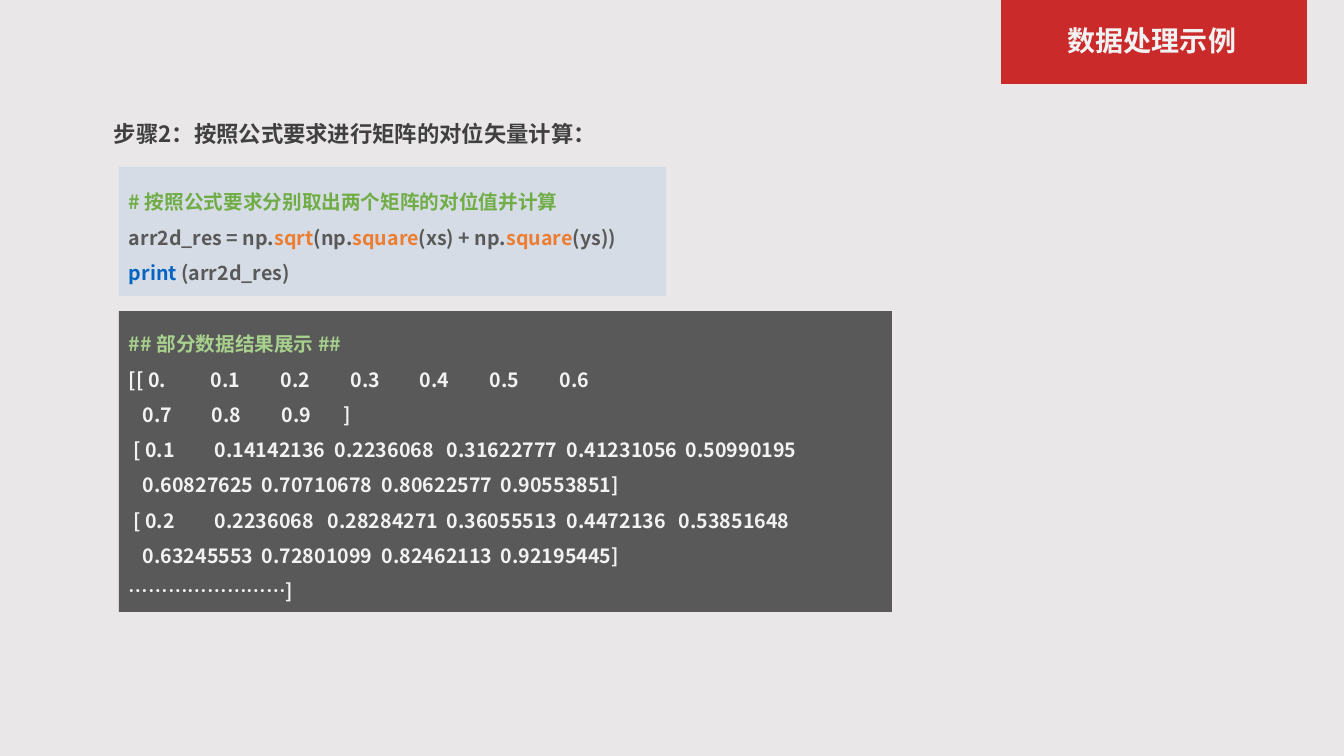
from lxml import etree
from pptx import Presentation
from pptx.dml.color import RGBColor
from pptx.enum.shapes import MSO_SHAPE
from pptx.enum.text import MSO_ANCHOR, MSO_AUTO_SIZE, PP_ALIGN
from pptx.oxml.ns import qn
from pptx.util import Emu, Pt

RECTANGLE = MSO_SHAPE.RECTANGLE
MIDDLE, TOP = MSO_ANCHOR.MIDDLE, MSO_ANCHOR.TOP
LEFT, CENTER = PP_ALIGN.LEFT, PP_ALIGN.CENTER
NO_AUTOFIT = MSO_AUTO_SIZE.NONE
PIXEL = 914400 / 100.8
FONT = "Noto Sans CJK SC"
COLORS = {
    "background": "E9E7E7", "banner": "CA2A2A", "light": "F2F2F2",
    "heading": "404040", "code_fill": "D6DCE5", "result_fill": "595959",
    "comment": "70AD47", "code": "595959", "function": "ED7D31",
    "keyword": "0563C1", "result_comment": "A9D18E",
}

TITLE = "数据处理示例"
HEADING = "步骤2：按照公式要求进行矩阵的对位矢量计算："
CODE_LINES = [
    [("# 按照公式要求分别取出两个矩阵的对位值并计算", "comment")],
    [("arr2d_res = np.", "code"), ("sqrt", "function"), ("(np.", "code"),
     ("square", "function"), ("(xs) + np.", "code"), ("square", "function"),
     ("(ys))", "code")],
    [("print ", "keyword"), ("(arr2d_res)", "code")],
]
RESULT_COMMENT = "## 部分数据结果展示 ##"
RESULT_ROWS = [
    (["[[ 0.", "0.1", "0.2", "0.3", "0.4", "0.5", "0.6"],
     [82, 152, 222, 291, 361, 431]),
    (["", "0.7", "0.8", "0.9", "]"], [14, 83, 153, 215]),
    ([" [ 0.1", "0.14142136", "0.2236068", "0.31622777", "0.41231056", "0.50990195"],
     [86, 206, 318, 438, 557]),
    (["", "0.60827625", "0.70710678", "0.80622577", "0.90553851]"],
     [14, 133, 253, 372]),
    ([" [ 0.2", "0.2236068", "0.28284271", "0.36055513", "0.4472136", "0.53851648"],
     [86, 199, 318, 438, 550]),
    (["", "0.63245553", "0.72801099", "0.82462113", "0.92195445]"],
     [14, 133, 253, 372]),
    (["……………………]"], []),
]


def pixels(value):
    return Emu(round(value * PIXEL))


def color(name):
    return RGBColor.from_string(COLORS[name])


def add_panel(box, fill):
    shape = slide.shapes.add_shape(RECTANGLE, *map(pixels, box))
    shape.shadow.inherit = False
    shape.fill.solid()
    shape.fill.fore_color.rgb = color(fill)
    shape.line.fill.background()
    shape.text_frame.word_wrap = True
    shape.text_frame.vertical_anchor = MIDDLE
    return shape


def write_line(paragraph, runs, size, spacing=1.0, alignment=LEFT, stops=()):
    paragraph.alignment = alignment
    paragraph.line_spacing = spacing
    if stops:
        properties = paragraph._p.get_or_add_pPr()
        tabs = etree.SubElement(properties, qn("a:tabLst"))
        for stop in stops:
            etree.SubElement(tabs, qn("a:tab"), pos=str(pixels(stop)), algn="l")
    font = paragraph.font
    font.name, font.size, font.bold = FONT, Pt(size), True
    font.color.rgb = color(runs[0][1])
    latin = font._element.find(qn("a:latin"))
    east_asian = etree.Element(qn("a:ea"), typeface=FONT)
    latin.addnext(east_asian)
    for text, name in runs:
        run = paragraph.add_run()
        run.text = text
        if len(runs) > 1:
            run.font.color.rgb = color(name)


def write_lines(frame, lines):
    for index, (runs, stops) in enumerate(lines):
        paragraph = frame.add_paragraph() if index else frame.paragraphs[0]
        write_line(paragraph, runs, 14, 1.5, stops=stops)


presentation = Presentation()
presentation.slide_width, presentation.slide_height = pixels(1344), pixels(756)
slide = presentation.slides.add_slide(presentation.slide_layouts[5])
slide.background.fill.solid()
slide.background.fill.fore_color.rgb = color("background")

banner = add_panel((1001, 0, 306, 84), "banner")
title = slide.shapes.title
banner._element.addnext(title._element)
title.left, title.top, title.width, title.height = map(pixels, (1001, 21, 302, 42))
title.text_frame.auto_size = NO_AUTOFIT
title.text_frame.vertical_anchor = MIDDLE
write_line(title.text_frame.paragraphs[0], [(TITLE, "light")], 20, 0.9, CENTER)

heading = slide.shapes.add_textbox(*map(pixels, (104, 115, 509, 37)))
heading.text_frame.word_wrap = False
heading.text_frame.vertical_anchor = TOP
write_line(heading.text_frame.paragraphs[0], [(HEADING, "heading")], 16)

code = add_panel((119, 167, 547, 129), "code_fill")
write_lines(code.text_frame, [(runs, []) for runs in CODE_LINES])

result = add_panel((119, 311, 773, 301), "result_fill")
result_lines = [([(RESULT_COMMENT, "result_comment")], [])]
result_lines += [([("\t".join(cells), "light")], stops) for cells, stops in RESULT_ROWS]
write_lines(result.text_frame, result_lines)

presentation.save("out.pptx")
